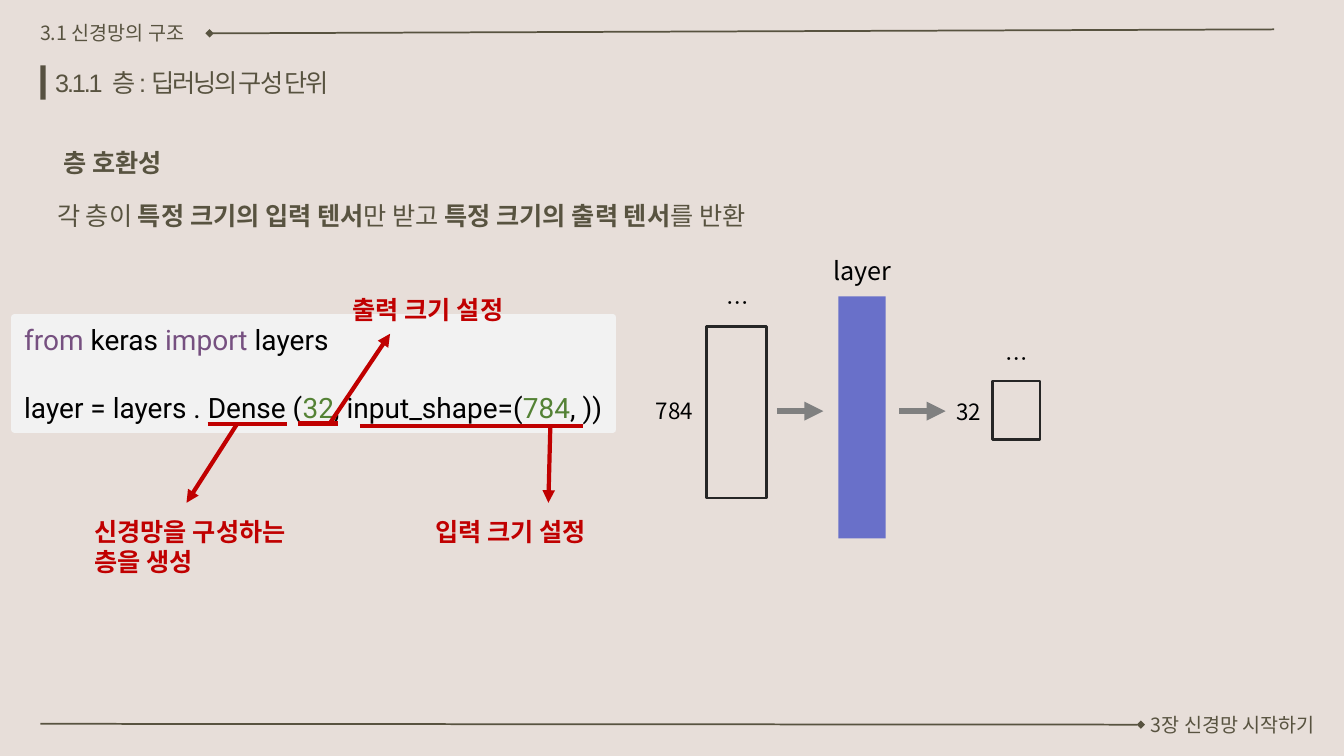
from lxml.etree import SubElement
from pptx import Presentation
from pptx.dml.color import RGBColor
from pptx.enum.shapes import MSO_CONNECTOR, MSO_SHAPE
from pptx.enum.text import PP_ALIGN
from pptx.oxml.ns import qn
from pptx.util import Cm, Pt

BACKGROUND = RGBColor(0xE7, 0xDE, 0xD9)
BROWN = RGBColor(0x58, 0x53, 0x40)
BAR_BROWN = RGBColor(0x57, 0x51, 0x41)
CODE_GRAY = RGBColor(0xF2, 0xF2, 0xF2)
KEYWORD = RGBColor(0x76, 0x50, 0x80)
NUMBER = RGBColor(0x54, 0x82, 0x35)
RED = RGBColor(0xC0, 0x00, 0x00)
LAYER_BLUE = RGBColor(0x69, 0x70, 0xC9)
OUTLINE = RGBColor(0x26, 0x26, 0x26)
ARROW_GRAY = RGBColor(0x80, 0x80, 0x80)
BLACK = RGBColor(0, 0, 0)
KOREAN = "Noto Sans CJK KR"

prs = Presentation()
prs.slide_width, prs.slide_height = Cm(33.87), Cm(19.05)
slide = prs.slides.add_slide(prs.slide_layouts[6])
slide.background.fill.solid()
slide.background.fill.fore_color.rgb = BACKGROUND
shapes = slide.shapes


def add_text(box, text, size, color, bold=False, font=KOREAN):
    frame = shapes.add_textbox(*map(Cm, box)).text_frame
    frame.word_wrap = True
    paragraph = frame.paragraphs[0]
    paragraph.text = text
    paragraph.font.size = Pt(size)
    paragraph.font.name = font
    paragraph.font.bold = bold
    paragraph.font.color.rgb = color
    SubElement(paragraph.font._element, qn("a:ea"), typeface=KOREAN)
    return paragraph


def add_line(start, end, color, width, **ends):
    line = shapes.add_connector(MSO_CONNECTOR.STRAIGHT, *map(Cm, start + end))
    line.line.color.rgb = color
    line.line.width = Pt(width)
    for tag, kind in ends.items():
        SubElement(line.line._get_or_add_ln(), qn(f"a:{tag}"), type=kind)
    SubElement(line._element.spPr, qn("a:effectLst"))


# Header and footer
add_line((5.28, 0.84), (32.11, 0.74), BROWN, 1.25, headEnd="diamond")
add_line((1.02, 18.24), (28.75, 18.26), BROWN, 1.25, tailEnd="diamond")
add_text((0.76, 0.41, 4.52, 0.86), "3.1 신경망의 구조", 14, BROWN)
add_text((28.75, 17.83, 5.13, 0.86), "3장 신경망 시작하기", 14, BROWN)

# Section title with its bar
title_bar = shapes.add_shape(MSO_SHAPE.RECTANGLE, Cm(1.02), Cm(1.65), Cm(0.13), Cm(0.86))
title_bar.shadow.inherit = False
title_bar.fill.solid()
title_bar.fill.fore_color.rgb = BAR_BROWN
title_bar.line.fill.background()
title = add_text((1.14, 1.57, 8.2, 1.02), "", 18, BROWN, font="Arial")
for words, spacing in (("3.1.1", -150), (" ", 200), ("층 : 딥러닝의 구성 단위", -150)):
    part = title.add_run()
    part.text = words
    part.font._element.set("spc", str(spacing))

# Layer compatibility statement
heading = add_text((1.02, 3.58, 3.63, 1.02), "층 호환성", 18, BROWN, bold=True)
heading.alignment = PP_ALIGN.CENTER
statement = add_text((1.19, 4.93, 20.19, 1.02), "", 18, BROWN)
for words, bold in (("각 층이 ", False), ("특정 크기의 입력 텐서", True), ("만 받고 ", False),
                    ("특정 크기의 출력 텐서", True), ("를 반환", False)):
    part = statement.add_run()
    part.text = words
    part.font.bold = bold

# Code box
code_box = shapes.add_shape(MSO_SHAPE.RECTANGLE, Cm(0.36), Cm(8), Cm(15.09), Cm(2.82))
code_box.shadow.inherit = False
code_box.fill.solid()
code_box.fill.fore_color.rgb = CODE_GRAY
code_box.line.color.rgb = CODE_GRAY
code_box.line.width = Pt(5)
SubElement(code_box.line._get_or_add_ln(), qn("a:round"))
code = code_box.text_frame
code.word_wrap = True
code_lines = [
    [("from ", KEYWORD), ("keras ", BLACK), ("import ", KEYWORD), ("layers", BLACK)],
    [("layer = layers . Dense (", BLACK), ("32", NUMBER), (", input_shape=(", BLACK),
     ("784", NUMBER), (", ))", BLACK)],
]
for paragraph, tokens in zip((code.paragraphs[0], code.add_paragraph()), code_lines):
    paragraph.alignment = PP_ALIGN.LEFT
    paragraph.font.size = Pt(20)
    paragraph.font.name = "Roboto"
    for words, color in tokens:
        token = paragraph.add_run()
        token.text = words
        token.font.color.rgb = color
code.paragraphs[1].space_before = Pt(25)

# Callouts: underline, arrow, label
callouts = [
    ((5.23, 10.69), (7.24, 10.69), (5.97, 10.69), (4.7, 12.67),
     (2.13, 12.88, 6.2, 1.8), "신경망을 구성하는 층을 생성"),
    ((7.52, 10.67), (8.51, 10.67), (8.31, 10.67), (9.83, 8.41),
     (8.64, 7.29, 5.23, 1.02), "출력 크기 설정"),
    ((9.07, 10.74), (14.68, 10.74), (13.87, 10.69), (13.82, 12.67),
     (10.72, 12.88, 6.2, 1.02), "입력 크기 설정"),
]
for under_start, under_end, arrow_start, arrow_end, label_box, label in callouts:
    add_line(under_start, under_end, RED, 3)
    add_line(arrow_start, arrow_end, RED, 3, tailEnd="triangle")
    add_text(label_box, label, 18, RED, bold=True)

# Layer diagram
layer_block = shapes.add_shape(MSO_SHAPE.RECTANGLE, Cm(21.13), Cm(7.47), Cm(1.19), Cm(6.1))
layer_block.shadow.inherit = False
layer_block.fill.solid()
layer_block.fill.fore_color.rgb = LAYER_BLUE
layer_block.line.fill.background()
add_text((20.75, 6.3, 2.08, 1.02), "layer", 18, BLACK)

tensors = [
    ((17.81, 8.23, 1.5, 4.32), "784", (16.28, 9.88), (18.06, 7.16)),
    ((25.02, 9.6, 1.19, 1.47), "32", (23.85, 9.91), (25.1, 8.56)),
]
for tensor_box, size, size_at, dots_at in tensors:
    tensor = shapes.add_shape(MSO_SHAPE.RECTANGLE, *map(Cm, tensor_box))
    tensor.shadow.inherit = False
    tensor.fill.background()
    tensor.line.color.rgb = OUTLINE
    tensor.line.width = Pt(2)
    add_text(size_at + (1.52, 0.94), size, 16, BLACK)
    add_text(dots_at + (1.52, 0.94), "…", 16, BLACK)

for arrow_left in (19.58, 22.66):
    add_line((arrow_left, 10.36), (arrow_left + 1.17, 10.36), ARROW_GRAY, 4.5, tailEnd="triangle")

prs.save("out.pptx")
